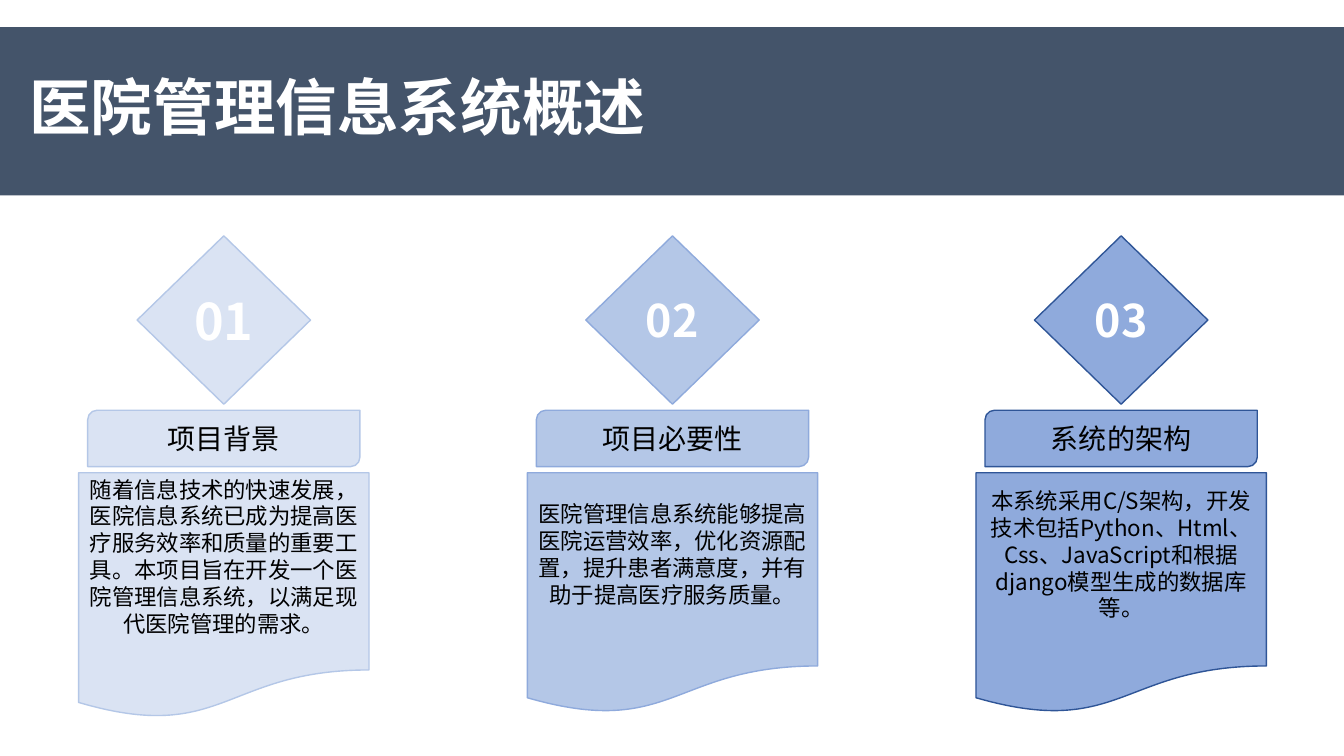
from dataclasses import dataclass

import pptx
import pptx.dml.color
import pptx.enum.shapes
import pptx.enum.text
import pptx.oxml
import pptx.oxml.ns
import pptx.util

Inches = pptx.util.Inches
Shapes = pptx.enum.shapes.MSO_SHAPE
Align = pptx.enum.text.PP_ALIGN
Anchor = pptx.enum.text.MSO_ANCHOR


@dataclass(frozen=True)
class Theme:
    font: str = "Noto Sans CJK SC"
    band: str = "44546A"
    light_text: str = "FFFFFF"
    dark_text: str = "000000"
    title_size: int = 44
    label_size: int = 20
    body_size: int = 16
    tints: tuple = ("DAE3F3", "B4C7E7", "8FAADC", "2F5597")


THEME = Theme()

TITLE = "医院管理信息系统概述"
TOPICS = [
    ("01", 36, "项目背景", 2.44,
     "随着信息技术的快速发展，医院信息系统已成为提高医疗服务效率和质量的重要工具。"
     "本项目旨在开发一个医院管理信息系统，以满足现代医院管理的需求。"),
    ("02", 32, "项目必要性", 2.39,
     "医院管理信息系统能够提高医院运营效率，优化资源配置，提升患者满意度，"
     "并有助于提高医疗服务质量。"),
    ("03", 32, "系统的架构", 2.39,
     "本系统采用C/S架构，开发技术包括Python、Html、 Css、JavaScript"
     "和根据django模型生成的数据库\v等。"),
]


def rgb(color):
    return pptx.dml.color.RGBColor.from_string(color)


def write_text(shape, text, size, color, bold=False, align=Align.CENTER):
    frame = shape.text_frame
    frame.word_wrap = True
    frame.vertical_anchor = Anchor.MIDDLE
    frame.text = text
    paragraph = frame.paragraphs[0]
    paragraph.alignment = align
    for run in paragraph.runs:
        run.font.name = THEME.font
        run.font.size = pptx.util.Pt(size)
        run.font.bold = bold
        run.font.color.rgb = rgb(color)
        east_asian = pptx.oxml.parse_xml(
            f'<a:ea {pptx.oxml.ns.nsdecls("a")} typeface="{THEME.font}"/>')
        run.font._element.find(pptx.oxml.ns.qn("a:latin")).addnext(east_asian)
    return paragraph


def add_filled_shape(slide, kind, left, top, width, height, fill, line=None):
    shape = slide.shapes.add_shape(
        kind, Inches(left), Inches(top), Inches(width), Inches(height))
    shape.shadow.inherit = False
    shape.fill.solid()
    shape.fill.fore_color.rgb = rgb(fill)
    if line:
        shape.line.color.rgb = rgb(line)
        shape.line.width = pptx.util.Pt(1)
    else:
        shape.line.fill.background()
    return shape


def add_header(slide, left, top, width, height):
    band = add_filled_shape(slide, Shapes.RECTANGLE, left, top, width, height, THEME.band)
    title = slide.shapes.title
    title.left, title.top = Inches(left + 0.19), Inches(top + 0.1)
    title.width, title.height = Inches(11.5), Inches(1.45)
    paragraph = write_text(title, TITLE, THEME.title_size, THEME.light_text,
                           bold=True, align=Align.LEFT)
    paragraph.line_spacing = 0.9
    title._element.addprevious(band._element)


def add_topic(slide, left, top, width, topic, fill, line):
    number, number_size, label, body_height, body = topic

    def add_centred(kind, offset, part_width, height):
        return add_filled_shape(slide, kind, left + (width - part_width) / 2,
                                top + offset, part_width, height, fill, line)

    diamond = add_centred(Shapes.FLOWCHART_DECISION, 0, 1.72, 1.67)
    write_text(diamond, number, number_size, THEME.light_text, bold=True)

    document = add_centred(Shapes.FLOWCHART_DOCUMENT, 2.35, width, body_height)
    write_text(document, body, THEME.body_size, THEME.dark_text)
    document.text_frame.margin_top = 0
    document.text_frame.margin_bottom = Inches(0.3)

    tab = add_centred(Shapes.ROUND_2_DIAG_RECTANGLE, 1.73, 2.7, 0.56)
    write_text(tab, label, THEME.label_size, THEME.dark_text)


def main():
    presentation = pptx.Presentation()
    presentation.slide_width = Inches(13.33)
    presentation.slide_height = Inches(7.5)
    slide = presentation.slides.add_slide(presentation.slide_layouts.get_by_name("Title Only"))
    add_header(slide, 0, 0.27, 13.33, 1.67)
    for index, topic in enumerate(TOPICS):
        add_topic(slide, 0.78 + 4.45 * index, 2.34, 2.88, topic,
                  THEME.tints[index], THEME.tints[index + 1])
    presentation.save("out.pptx")


if __name__ == "__main__":
    main()
